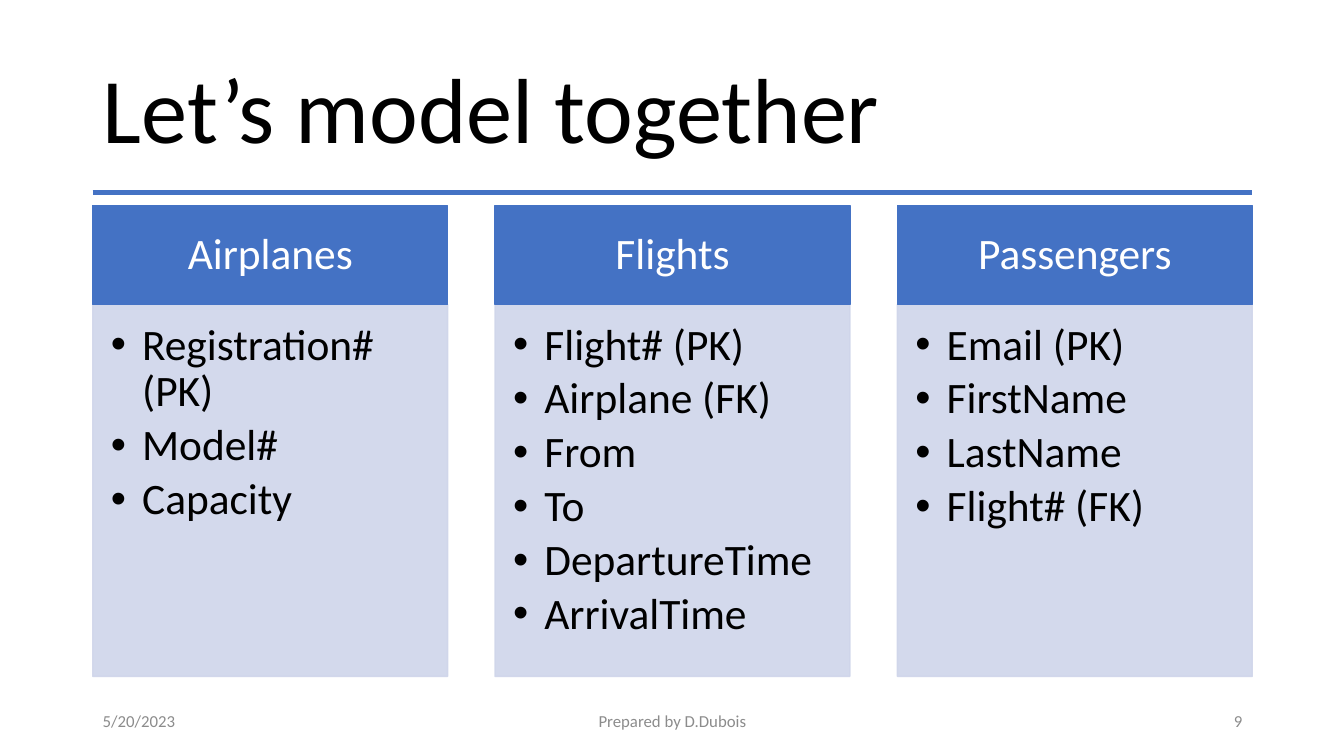
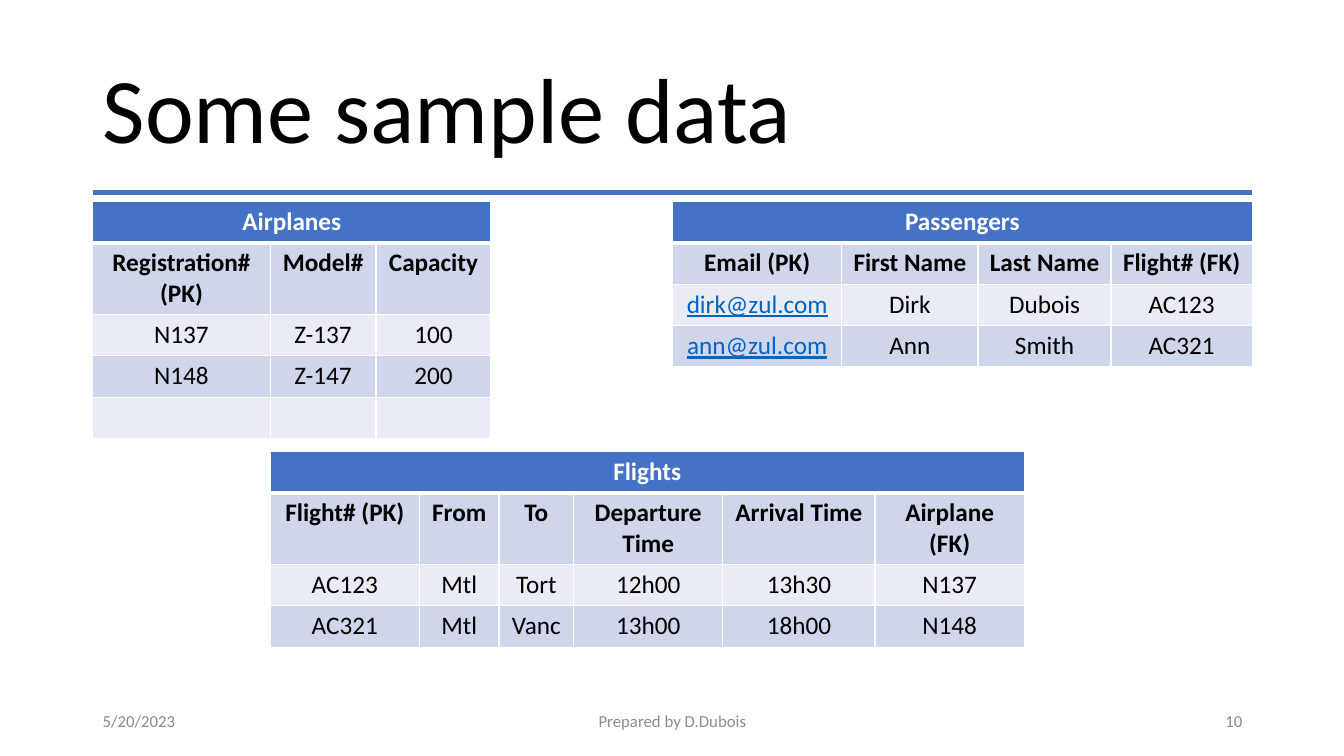
from dataclasses import dataclass
from typing import Any

from lxml.etree import SubElement
from pptx import Presentation
from pptx.dml.color import RGBColor
from pptx.enum.shapes import MSO_CONNECTOR as Connector, MSO_SHAPE as Preset
from pptx.enum.text import MSO_ANCHOR as Anchor, MSO_AUTO_SIZE as AutoSize, PP_ALIGN as Align
from pptx.oxml.ns import qn
from pptx.util import Inches, Pt

BLUE, PALE, LIGHT = "4472C4", "CFD5EA", "E9EBF5"
WHITE, BLACK, GREY, LINK = "FFFFFF", "000000", "8C8C8C", "0563C1"
FONT = "Calibri"
LEFT, WIDTH = 0.92, 11.5
ROW_HEIGHT = 0.41
CARD_TOP, CARD_WIDTH, HEADER_HEIGHT, LIST_HEIGHT = 2.04, 3.52, 0.98, 3.69


@dataclass(frozen=True)
class Card:
    heading: str
    fields: tuple[str, ...]


@dataclass(frozen=True)
class DataTable:
    title: str
    left: float
    top: float
    widths: tuple[float, ...]
    rows: tuple[tuple[str, ...], ...]


@dataclass(frozen=True)
class FooterPart:
    left: float
    width: float
    align: Any


FOOTER_PARTS = (
    FooterPart(LEFT, 3, Align.LEFT),
    FooterPart(4.42, 4.5, Align.CENTER),
    FooterPart(9.42, 3, Align.RIGHT),
)

CARDS = (
    Card("Airplanes", ("Registration# (PK)", "Model#", "Capacity")),
    Card("Flights", ("Flight# (PK)", "Airplane (FK)", "From", "To",
                     "DepartureTime", "ArrivalTime")),
    Card("Passengers", ("Email (PK)", "FirstName", "LastName", "Flight# (FK)")),
)

TABLES = (
    DataTable("Airplanes", LEFT, 2, (1.76, 1.05, 1.14), (
        ("Registration# (PK)", "Model#", "Capacity"),
        ("N137", "Z-137", "100"),
        ("N148", "Z-147", "200"),
        ("", "", ""),
    )),
    DataTable("Flights", 2.68, 4.48, (1.48, 0.79, 0.74, 1.48, 1.51, 1.48), (
        ("Flight# (PK)", "From", "To", "Departure Time", "Arrival Time", "Airplane (FK)"),
        ("AC123", "Mtl", "Tort", "12h00", "13h30", "N137"),
        ("AC321", "Mtl", "Vanc", "13h00", "18h00", "N148"),
    )),
    DataTable("Passengers", 6.67, 2, (1.68, 1.35, 1.32, 1.4), (
        ("Email (PK)", "First Name", "Last Name", "Flight# (FK)"),
        ("dirk@zul.com", "Dirk", "Dubois", "AC123"),
        ("ann@zul.com", "Ann", "Smith", "AC321"),
    )),
)


# Formatting helpers
def color(value: str) -> RGBColor:
    return RGBColor.from_string(value)


def apply(target: Any, values: dict[str, Any]) -> None:
    for name, value in values.items():
        setattr(target, name, value)


def place(shape: Any, left: float, top: float, width: float, height: float) -> None:
    apply(shape, {"left": Inches(left), "top": Inches(top),
                  "width": Inches(width), "height": Inches(height)})


def set_frame(frame: Any, anchor: Any, insets: tuple[float, ...] = (0.1, 0.05, 0.1, 0.05)) -> None:
    apply(frame, {"word_wrap": True, "auto_size": AutoSize.NONE, "vertical_anchor": anchor})
    for side, inset in zip(("left", "top", "right", "bottom"), insets):
        setattr(frame, f"margin_{side}", Inches(inset))


def write(paragraph: Any, text: str, size: float, text_color: str, align: Any = Align.LEFT,
          spacing: float = 1.0, after: float = 0, **font_values: Any) -> None:
    apply(paragraph, {"alignment": align, "line_spacing": spacing,
                      "space_before": Pt(0), "space_after": Pt(after)})
    if text:
        run = paragraph.add_run()
        run.text = text
        apply(run.font, {"name": FONT, "size": Pt(size), "bold": False, **font_values})
        run.font.color.rgb = color(text_color)


def paint(shape: Any, value: str, opacity: int = 100) -> None:
    """Give the fill and the outline one colour and opacity."""
    shape.fill.solid()
    shape.line.fill.solid()
    shape.line.width = Pt(1)
    for fill in (shape.fill, shape.line.fill):
        fill.fore_color.rgb = color(value)
    if opacity < 100:
        for element in shape._element.spPr.iter(qn("a:srgbClr")):
            SubElement(element, qn("a:alpha"), val=str(opacity * 1000))


def add_bullet(paragraph: Any) -> None:
    properties = paragraph._p.get_or_add_pPr()
    properties.set("marL", str(Inches(0.31)))
    properties.set("indent", str(Inches(-0.31)))
    SubElement(properties, qn("a:buFont"), typeface="Arial")
    SubElement(properties, qn("a:buChar"), char="•")


def set_borders(cell: Any, top: float, bottom: float) -> None:
    properties = cell._tc.get_or_add_tcPr()
    for side, points in (("L", 1), ("R", 1), ("T", top), ("B", bottom)):
        line = SubElement(properties, qn(f"a:ln{side}"), w=str(Pt(points)))
        SubElement(SubElement(line, qn("a:solidFill")), qn("a:srgbClr"), val=WHITE)


# Parts shared by the slides
def add_slide(presentation: Any, layout_index: int, title: str, number: int) -> Any:
    slide = presentation.slides.add_slide(presentation.slide_layouts[layout_index])
    place(slide.shapes.title, LEFT, 0.4, WIDTH, 1.45)
    frame = slide.shapes.title.text_frame
    set_frame(frame, Anchor.MIDDLE)
    write(frame.paragraphs[0], title, 66, BLACK, spacing=0.9)

    rule = slide.shapes.add_connector(Connector.STRAIGHT, Inches(LEFT), Inches(1.91),
                                      Inches(LEFT + WIDTH), Inches(1.91))
    rule.line.color.rgb = color(BLUE)
    rule.line.width = Pt(3)
    SubElement(rule._element.spPr, qn("a:effectLst"))

    for part, text in zip(FOOTER_PARTS, ("5/20/2023", "Prepared by D.Dubois", str(number))):
        box = slide.shapes.add_textbox(Inches(part.left), Inches(6.95),
                                       Inches(part.width), Inches(0.4))
        set_frame(box.text_frame, Anchor.MIDDLE)
        write(box.text_frame.paragraphs[0], text, 12, GREY, part.align)
    return slide


def add_card(slide: Any, card: Card, body: Any, left: float) -> None:
    header = slide.shapes.add_shape(Preset.RECTANGLE, Inches(left), Inches(CARD_TOP),
                                    Inches(CARD_WIDTH), Inches(HEADER_HEIGHT))
    header.shadow.inherit = False
    paint(header, BLUE)
    set_frame(header.text_frame, Anchor.MIDDLE, (0.24, 0.14, 0.24, 0.14))
    write(header.text_frame.paragraphs[0], card.heading, 31, WHITE, Align.CENTER, 0.9)

    place(body, left, CARD_TOP + HEADER_HEIGHT, CARD_WIDTH, LIST_HEIGHT)
    paint(body, PALE, 90)
    frame = body.text_frame
    set_frame(frame, Anchor.TOP, (0.18, 0.18, 0.24, 0.27))
    for index, field in enumerate(card.fields):
        paragraph = frame.add_paragraph() if index else frame.paragraphs[0]
        write(paragraph, field, 31, BLACK, spacing=0.9, after=5)
        add_bullet(paragraph)


def add_data_table(slide: Any, data: DataTable) -> None:
    columns = len(data.widths)
    rows = ((data.title,) + ("",) * (columns - 1),) + data.rows
    table = slide.shapes.add_table(len(rows), columns, Inches(data.left), Inches(data.top),
                                   Inches(sum(data.widths)),
                                   Inches(ROW_HEIGHT * len(rows))).table
    for column, width in zip(table.columns, data.widths):
        column.width = Inches(width)
    table.cell(0, 0).merge(table.cell(0, columns - 1))

    for row_index, texts in enumerate(rows):
        table.rows[row_index].height = Inches(ROW_HEIGHT)
        fill = BLUE if row_index == 0 else PALE if row_index % 2 else LIGHT
        for column_index, text in enumerate(texts):
            cell = table.cell(row_index, column_index)
            set_borders(cell, 3 if row_index == 1 else 1, 3 if row_index == 0 else 1)
            cell.fill.solid()
            cell.fill.fore_color.rgb = color(fill)
            is_email = "@" in text
            text_color = WHITE if row_index == 0 else LINK if is_email else BLACK
            write(cell.text_frame.paragraphs[0], text, 18, text_color, Align.CENTER,
                  bold=row_index < 2, underline=is_email)


# Slides
def add_model_slide(presentation: Any) -> None:
    slide = add_slide(presentation, 4, "Let’s model together", 9)
    bodies = [shape for shape in slide.placeholders if shape.placeholder_format.idx > 0]
    step = (WIDTH - CARD_WIDTH) / (len(CARDS) - 1)
    for index, (card, body) in enumerate(zip(CARDS, bodies)):
        add_card(slide, card, body, LEFT + index * step)
    for spare in bodies[len(CARDS):]:
        spare._element.getparent().remove(spare._element)


def add_data_slide(presentation: Any) -> None:
    slide = add_slide(presentation, 5, "Some sample data", 10)
    for data in TABLES:
        add_data_table(slide, data)


def main() -> None:
    presentation = Presentation()
    presentation.slide_width = Inches(13.33)
    presentation.slide_height = Inches(7.5)
    add_model_slide(presentation)
    add_data_slide(presentation)
    presentation.save("out.pptx")


if __name__ == "__main__":
    main()
